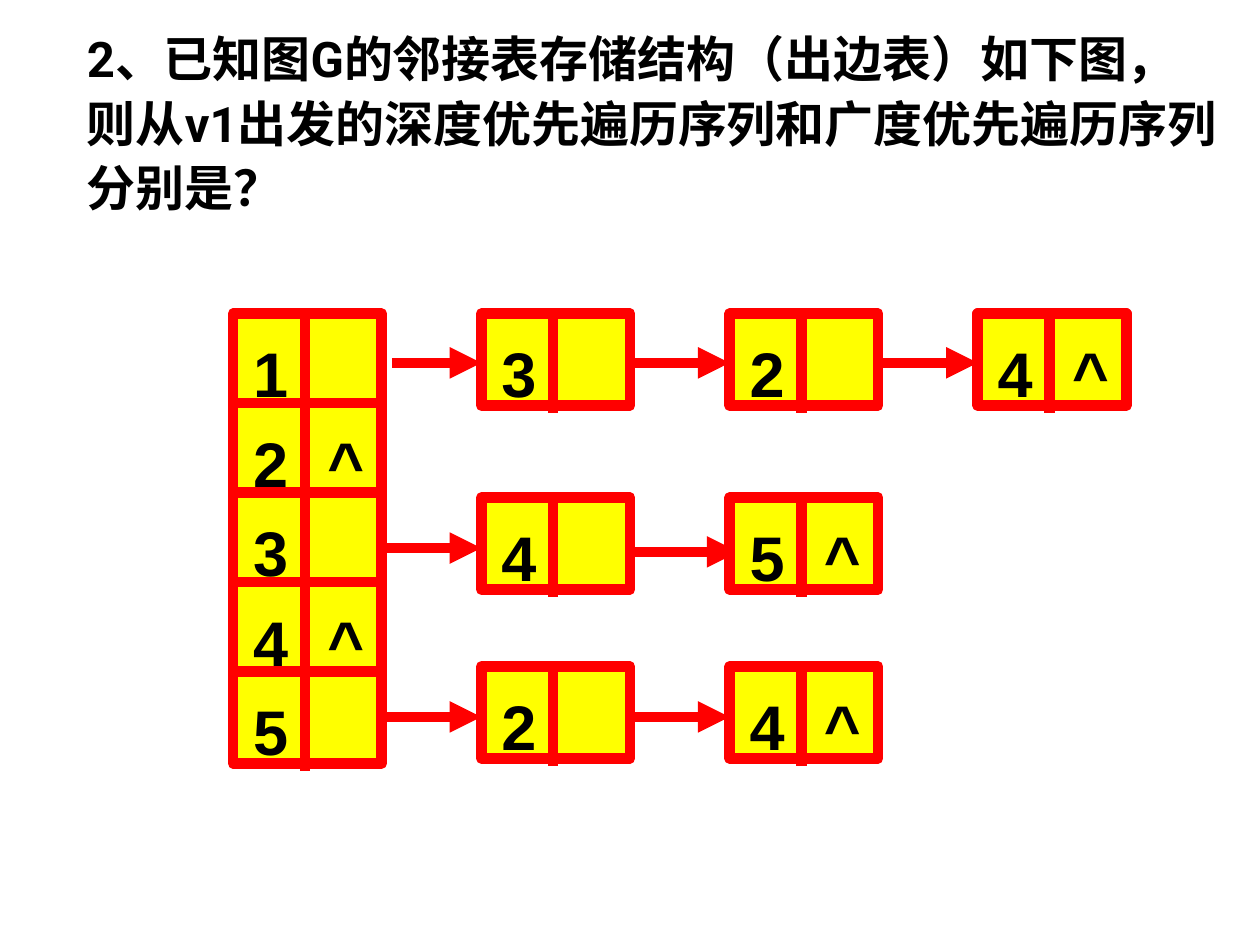
"""Build a slide asking for the traversals of a graph given as an adjacency list."""
from lxml import etree
from pptx import Presentation
from pptx.dml.color import RGBColor
from pptx.enum.shapes import MSO_CONNECTOR, MSO_SHAPE
from pptx.enum.text import MSO_ANCHOR, MSO_AUTO_SIZE, PP_ALIGN
from pptx.oxml.ns import qn
from pptx.util import Inches, Pt


def color(hex_value):
    return RGBColor.from_string(hex_value)


def add_line(shapes, x1, y1, x2, y2):
    line = shapes.add_connector(MSO_CONNECTOR.STRAIGHT, Inches(x1), Inches(y1), Inches(x2), Inches(y2))
    line.line.color.rgb = color("FF0000")
    line.line.width = Pt(6)
    etree.SubElement(line._element.spPr, qn("a:effectLst"))
    return line


presentation = Presentation()
presentation.slide_width = Inches(10)
presentation.slide_height = Inches(7.5)
slide = presentation.slides.add_slide(presentation.slide_layouts[5])

question = slide.shapes.title
question_place = {"left": 0.59, "top": 0.13, "width": 9.21, "height": 1.64}
for name, value in question_place.items():
    setattr(question, name, Inches(value))
question_frame = question.text_frame
question_frame.text = "2、已知图G的邻接表存储结构（出边表）如下图，则从v1出发的深度优先遍历序列和广度优先遍历序列分别是？"
frame_format = {"word_wrap": True, "auto_size": MSO_AUTO_SIZE.SHAPE_TO_FIT_TEXT, "vertical_anchor": MSO_ANCHOR.TOP}
for name, value in frame_format.items():
    setattr(question_frame, name, value)
question_line = question_frame.paragraphs[0]
question_line.alignment = PP_ALIGN.LEFT
question_line.line_spacing = 1.1
question_font = question_line.runs[0].font
for name, value in {"name": "Roboto", "size": Pt(28), "bold": True}.items():
    setattr(question_font, name, value)
question_font.color.rgb = color("000000")

LEFT, TOP, COLUMN_STEP, VERTEX_STEP = 1.85, 2.49, 1.97, 0.71
NODE_WIDTH, NODE_HEIGHT, DIVIDER_X, DIVIDER_HEIGHT = 1.18, 0.73, 0.57, 0.79
edge_lists = [(2.49, "324"), (3.95, "45"), (5.29, "24")]

vertices = [(LEFT, TOP + i * VERTEX_STEP, str(i + 1), i in (1, 3)) for i in range(5)]
edge_nodes = [
    (LEFT + column * COLUMN_STEP, top, target, column == len(targets))
    for top, targets in edge_lists
    for column, target in enumerate(targets, 1)
]
arrows = [
    (3.11, 3.82, 2.88), (5, 5.79, 2.88), (6.97, 7.76, 2.88),
    (3.03, 3.82, 4.35), (4.84, 5.86, 4.38),
    (3.03, 3.82, 5.69), (5, 5.79, 5.69),
]

for start, end, y in arrows:
    arrow = add_line(slide.shapes, start, y, end, y)
    etree.SubElement(arrow.line._get_or_add_ln(), qn("a:tailEnd"), type="triangle")

for left, top, label, is_last in vertices + edge_nodes:
    node = slide.shapes.add_group_shape().shapes
    box = node.add_shape(MSO_SHAPE.RECTANGLE, Inches(left), Inches(top), Inches(NODE_WIDTH), Inches(NODE_HEIGHT))
    box.shadow.inherit = False
    box.fill.solid()
    box.fill.fore_color.rgb = color("FFFF00")
    box.line.color.rgb = color("FF0000")
    box.line.width = Pt(6)
    add_line(node, left + DIVIDER_X, top, left + DIVIDER_X, top + DIVIDER_HEIGHT)
    cells = [(0.06, label)] + ([(0.65, "^")] if is_last else [])
    for offset, content in cells:
        cell = node.add_textbox(Inches(left + offset), Inches(top + 0.12), Inches(0.51), Inches(0.7))
        cell.text_frame.text = content
        for name, value in frame_format.items():
            setattr(cell.text_frame, name, value)
        cell_font = cell.text_frame.paragraphs[0].runs[0].font
        for name, value in {"name": "Arial", "size": Pt(36), "bold": True}.items():
            setattr(cell_font, name, value)
        cell_font.color.rgb = color("000000")

presentation.save("out.pptx")
